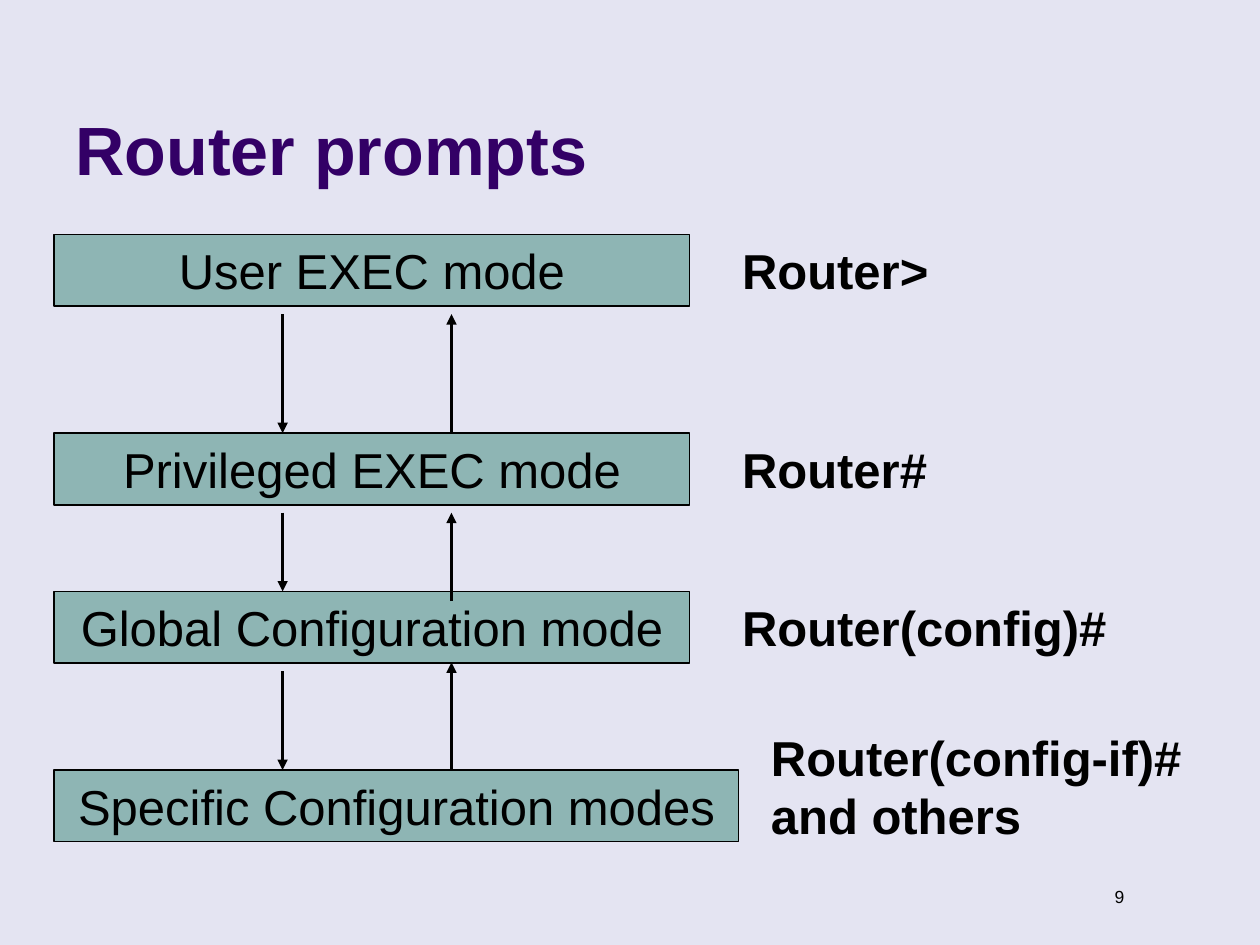
from dataclasses import dataclass
from itertools import pairwise

from lxml.etree import SubElement
from pptx import Presentation
from pptx.dml.color import RGBColor
from pptx.enum.shapes import MSO_CONNECTOR as Connector, MSO_SHAPE as Preset
from pptx.enum.text import MSO_ANCHOR as Anchor, MSO_AUTO_SIZE as AutoSize, PP_ALIGN as Align
from pptx.oxml.ns import qn
from pptx.slide import Slide
from pptx.text.text import TextFrame
from pptx.util import Pt

BACKGROUND = RGBColor(0xE4, 0xE4, 0xF2)
TEAL = RGBColor(0x8E, 0xB5, 0xB4)
PURPLE = RGBColor(0x33, 0x00, 0x66)
BLACK = RGBColor(0, 0, 0)

MODE_LEFT = 31
MODE_HEIGHT = 41
DOWN_X = 161.5
UP_X = 258


@dataclass
class Mode:
    name: str
    top: float
    width: float
    prompt: str
    prompt_left: float
    prompt_top: float
    prompt_width: float
    prompt_height: float = MODE_HEIGHT
    down_gap: float = 4.5
    up_gap: float = 4.5
    up_start: float = 0


MODES = [
    Mode("User EXEC mode", 134, 363, "Router>", 417, 134, 136),
    Mode("Privileged EXEC mode", 247.5, 363, "Router#", 417, 247.5, 136),
    Mode("Global Configuration mode", 338, 363, "Router(config)#", 417, 338, 238,
         up_gap=-0.5, up_start=5.5),
    Mode("Specific Configuration modes", 440, 391, "Router(config-if)#\vand others",
         433.5, 412, 261, 75),
]


def write(frame: TextFrame, text: str, size: float, color: RGBColor = BLACK,
          bold: bool = False, align: Align = Align.LEFT, anchor: Anchor = Anchor.TOP) -> None:
    frame.word_wrap = True
    frame.auto_size = AutoSize.NONE
    frame.vertical_anchor = anchor
    paragraph = frame.paragraphs[0]
    paragraph.text = text
    paragraph.alignment = align
    paragraph.space_before = Pt(0)
    paragraph.font.name = "Arial"
    paragraph.font.size = Pt(size)
    paragraph.font.bold = bold
    paragraph.font.color.rgb = color


def draw_mode(slide: Slide, mode: Mode) -> None:
    box = slide.shapes.add_shape(Preset.RECTANGLE, Pt(MODE_LEFT), Pt(mode.top),
                                 Pt(mode.width), Pt(MODE_HEIGHT))
    box.shadow.inherit = False
    box.fill.solid()
    box.fill.fore_color.rgb = TEAL
    box.line.color.rgb = BLACK
    box.line.width = Pt(1)
    write(box.text_frame, mode.name, 28, align=Align.CENTER)
    prompt = slide.shapes.add_textbox(Pt(mode.prompt_left), Pt(mode.prompt_top),
                                      Pt(mode.prompt_width), Pt(mode.prompt_height))
    write(prompt.text_frame, mode.prompt, 28, bold=True)


def draw_arrow(slide: Slide, x: float, start: float, end: float) -> None:
    arrow = slide.shapes.add_connector(Connector.STRAIGHT, Pt(x), Pt(start), Pt(x), Pt(end))
    arrow.line.color.rgb = BLACK
    arrow.line.width = Pt(1.5)
    SubElement(arrow.line._get_or_add_ln(), qn("a:tailEnd"), type="triangle")
    SubElement(arrow._element.spPr, qn("a:effectLst"))


def main() -> None:
    deck = Presentation()
    deck.slide_width, deck.slide_height = Pt(720), Pt(540)
    slide = deck.slides.add_slide(deck.slide_layouts[5])
    slide.background.fill.solid()
    slide.background.fill.fore_color.rgb = BACKGROUND

    title = slide.shapes.title
    title.left, title.top, title.width, title.height = Pt(36), Pt(9.5), Pt(594), Pt(102)
    write(title.text_frame, "Router prompts", 39, PURPLE, bold=True, anchor=Anchor.BOTTOM)

    for mode in MODES:
        draw_mode(slide, mode)
    for upper, lower in pairwise(MODES):
        bottom = upper.top + MODE_HEIGHT
        draw_arrow(slide, DOWN_X, bottom + upper.down_gap, lower.top)
        draw_arrow(slide, UP_X, lower.top + lower.up_start, bottom + upper.up_gap)

    page_number = slide.shapes.add_textbox(Pt(604), Pt(502.5), Pt(45.5), Pt(19.5))
    write(page_number.text_frame, "9", 10, align=Align.RIGHT)
    deck.save("out.pptx")


if __name__ == "__main__":
    main()
